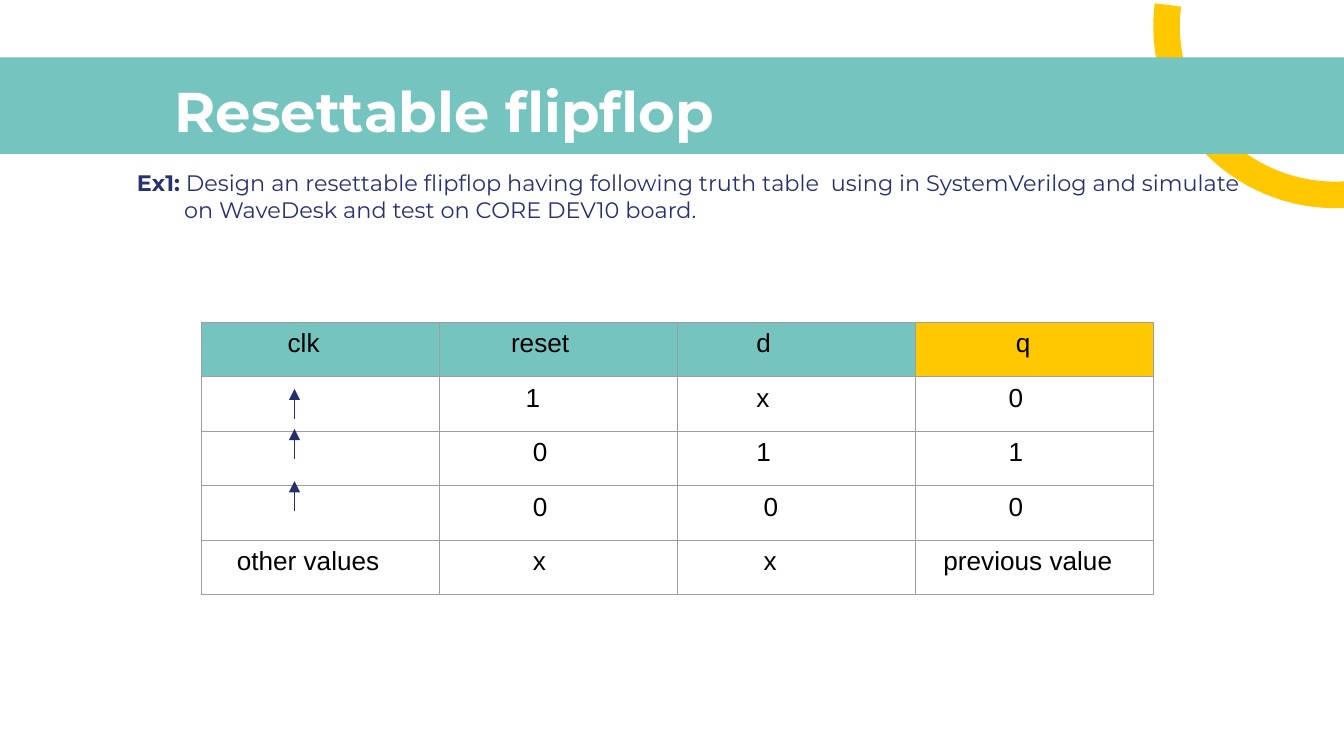
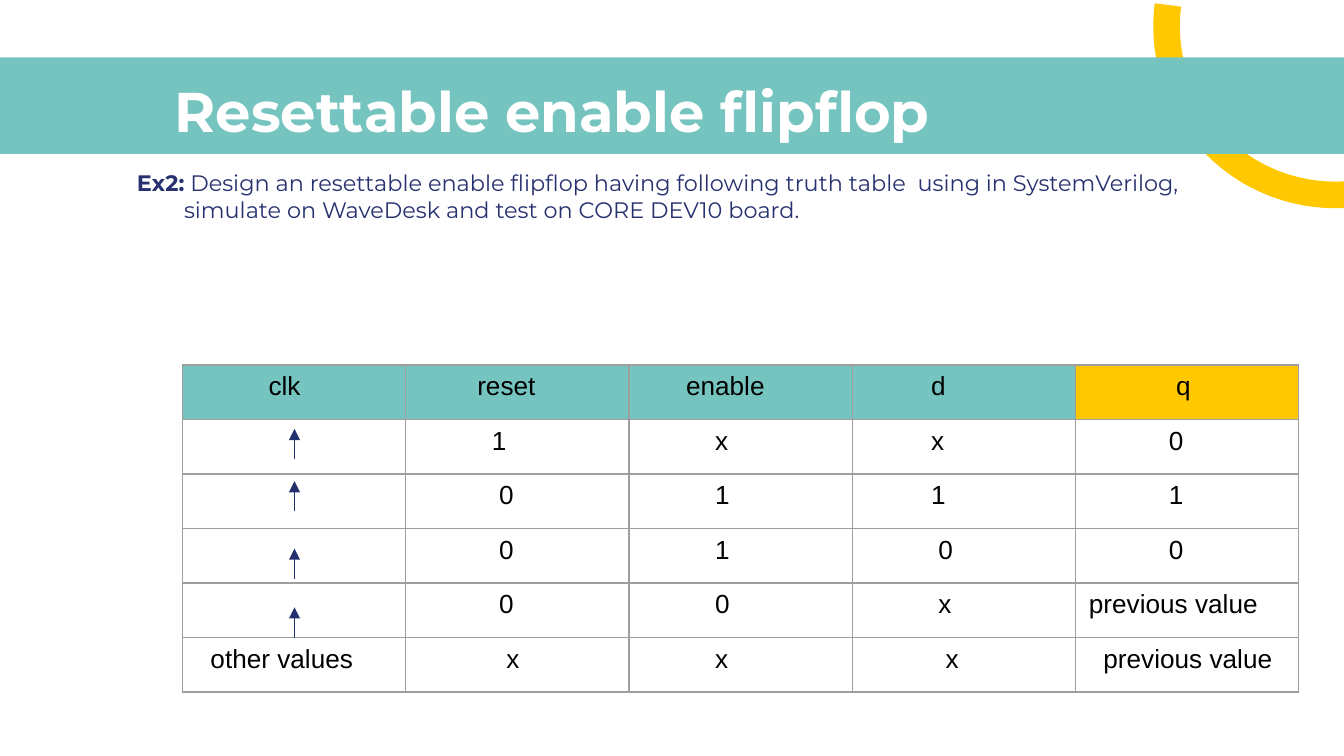
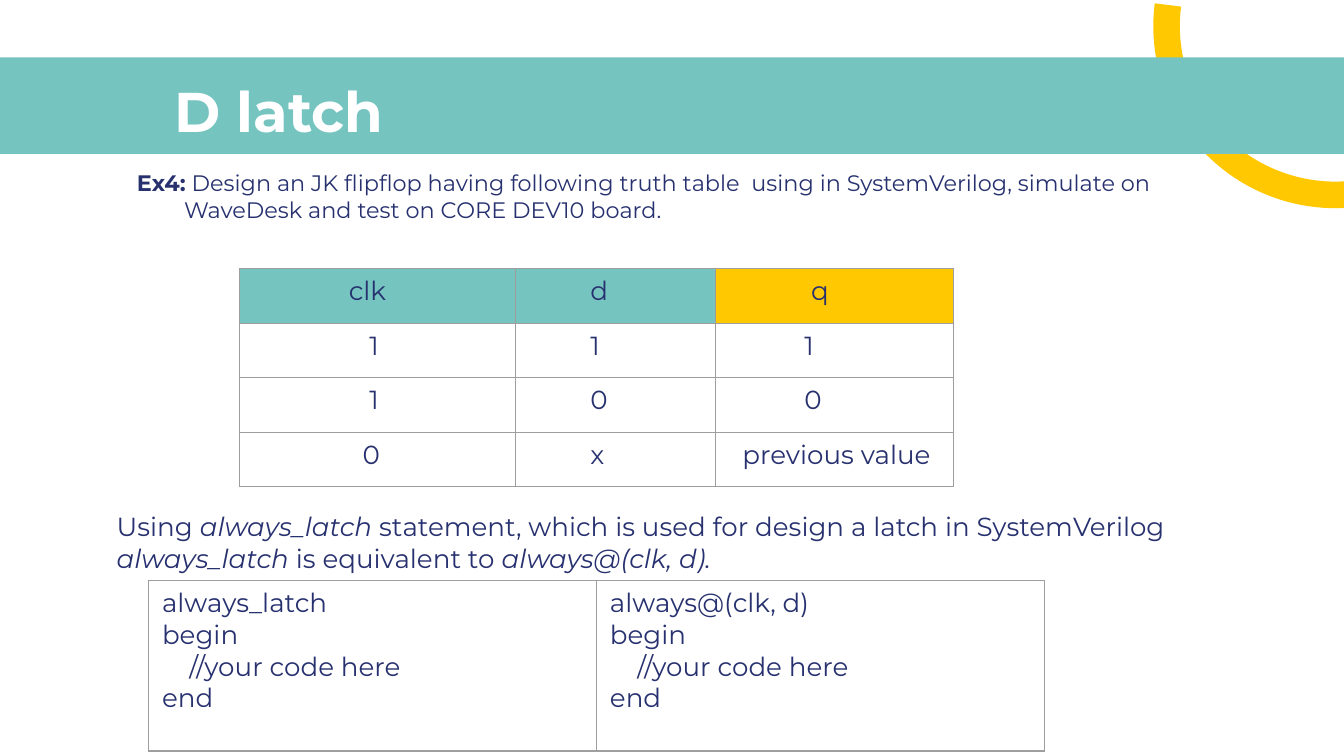
from lxml.etree import SubElement
from pptx import Presentation
from pptx.dml.color import RGBColor
from pptx.enum.shapes import MSO_CONNECTOR, MSO_SHAPE
from pptx.enum.text import MSO_ANCHOR, MSO_AUTO_SIZE, PP_ALIGN
from pptx.oxml.ns import qn
from pptx.util import Pt

TEAL, YELLOW, GREY, WHITE = "75C4C0", "FFC800", "EEEEEE", "FFFFFF"
NAVY, ARROW, BORDER, BLACK = "27316F", "242F6E", "9E9E9E", "000000"
ROW_HEIGHT = 29.2
INSET = 7.2
color = RGBColor.from_string


def add_run(paragraph, text, size, hex_color, font="Montserrat", bold=False, italic=False):
    run = paragraph.add_run()
    run.text = text
    run.font.size, run.font.name = Pt(size), font
    run.font.bold, run.font.italic = bold, italic
    run.font.color.rgb = color(hex_color)


def add_table(slide, left, top, widths, row_height, rows, font, text_color, step, header=True):
    frame = slide.shapes.add_table(len(rows), len(widths), Pt(left), Pt(top),
                                   Pt(sum(widths)), Pt(row_height * len(rows)))
    table = frame.table
    table.first_row = table.horz_banding = False
    for column, width in zip(table.columns, widths):
        column.width = Pt(width)
    for row_index, row in enumerate(rows):
        table.rows[row_index].height = Pt(row_height)
        for column_index, (text, indent) in enumerate(row):
            cell = table.cell(row_index, column_index)
            cell.margin_left = Pt(round(INSET + indent * step, 2))
            properties = cell._tc.get_or_add_tcPr()
            for side in ("a:lnL", "a:lnR", "a:lnT", "a:lnB"):
                line = SubElement(properties, qn(side), w=str(Pt(0.75)))
                SubElement(SubElement(line, qn("a:solidFill")), qn("a:srgbClr"), val=BORDER)
            if header and row_index == 0:
                cell.fill.solid()
                is_output = column_index == len(widths) - 1
                cell.fill.fore_color.rgb = color(YELLOW if is_output else TEAL)
            else:
                cell.fill.background()
            for line_index, line_text in enumerate(text.splitlines()):
                text_frame = cell.text_frame
                paragraph = text_frame.add_paragraph() if line_index else text_frame.paragraphs[0]
                add_run(paragraph, line_text, 14, text_color, font)


presentation = Presentation()
presentation.slide_width, presentation.slide_height = Pt(720), Pt(405)
layout = presentation.slide_layouts[1]
for placeholder in list(layout.placeholders)[2:]:
    layout.shapes.element.remove(placeholder.element)

exercises = [
    {
        "title": "Resettable flipflop",
        "label": "Ex1:",
        "task": " Design an resettable flipflop having following truth table  using in SystemVerilog "
                "and simulate on WaveDesk and test on CORE DEV10 board.",
        "task_width": 632,
        "table": (108, 172.6, [127.5] * 4),
        "style": ("Arial", BLACK, 3.89),
        "rows": [
            [("clk", 10), ("reset", 8), ("d", 9), ("q", 12)],
            [("", 0), ("1", 10), ("x", 9), ("0", 11)],
            [("", 0), ("0", 11), ("1", 9), ("1", 11)],
            [("", 0), ("0", 11), ("0", 10), ("0", 11)],
            [("other values", 3), ("x", 11), ("x", 10), ("previous value", 2)],
        ],
        "arrow_tops": [257.8, 229.8, 208.3],
    },
    {
        "title": "Resettable enable flipflop",
        "label": "Ex2:",
        "task": " Design an resettable enable flipflop having following truth table  using in "
                "SystemVerilog, simulate on WaveDesk and test on CORE DEV10 board.",
        "task_width": 609,
        "table": (97.8, 195.6, [119.6] * 5),
        "style": ("Arial", BLACK, 3.89),
        "rows": [
            [("clk", 10), ("reset", 8), ("enable", 6), ("d", 9), ("q", 12)],
            [("", 0), ("1", 10), ("x", 10), ("x", 9), ("0", 11)],
            [("", 0), ("0", 11), ("1", 10), ("1", 9), ("1", 11)],
            [("", 0), ("0", 11), ("1", 10), ("0", 10), ("0", 11)],
            [("", 0), ("0", 11), ("0", 10), ("x", 10), ("previous value", 0)],
            [("other values", 2), ("x", 12), ("x", 10), ("x", 11), ("previous value", 2)],
        ],
        "arrow_tops": [257.8, 229.8, 293.9, 325.4],
    },
    {
        "title": "D latch",
        "label": "Ex4:",
        "task": " Design an JK flipflop having following truth table  using in SystemVerilog, "
                "simulate on WaveDesk and test on CORE DEV10 board.",
        "task_width": 609,
        "table": (128.2, 144, [147.8, 107.2, 127.5]),
        "style": ("Montserrat", NAVY, 3.68),
        "rows": [
            [("clk", 14), ("d", 9), ("q", 12)],
            [("1", 17), ("1", 9), ("1", 11)],
            [("1", 17), ("0", 9), ("0", 11)],
            [("0", 16), ("x", 9), ("previous value", 2)],
        ],
        "arrow_tops": [],
    },
]
slides = [presentation.slides.add_slide(layout) for _ in exercises]

decorations = []
for kind, left, top, width, height, fill, rotation, adjustments in [
    (MSO_SHAPE.BLOCK_ARC, 617.8, -83.5, 195, 195, YELLOW, 180, (159.04 * 0.6, 7.22 * 0.6, 0.073)),
    (MSO_SHAPE.RECTANGLE, -12, 30.7, 744, 51.8, TEAL, 0, ()),
    (MSO_SHAPE.BLOCK_ARC, -117.4, 324.7, 188, 188, GREY, 74.3, (125.82 * 0.6, 166.85 * 0.6, 0.103)),
]:
    shape = slides[0].shapes.add_shape(kind, Pt(left), Pt(top), Pt(width), Pt(height))
    shape.shadow.inherit = False
    shape.fill.solid()
    shape.fill.fore_color.rgb = color(fill)
    shape.line.fill.background()
    shape.rotation = rotation
    for index, value in enumerate(adjustments):
        shape.adjustments[index] = value
    decorations.append(shape)
for position, shape in enumerate(decorations, start=2):
    layout.shapes.element.insert(position, shape.element)

for slide, exercise in zip(slides, exercises):
    title, body = slide.placeholders
    for placeholder, left, top, width, height in [
        (title, 86.4, 33.8, 609, 45.4),
        (body, 55.4, 83.5, exercise["task_width"], 39.6),
    ]:
        placeholder.left, placeholder.top = Pt(left), Pt(top)
        placeholder.width, placeholder.height = Pt(width), Pt(height)
        text_frame = placeholder.text_frame
        text_frame.margin_left = text_frame.margin_right = Pt(INSET)
        text_frame.margin_top = text_frame.margin_bottom = Pt(INSET)
        text_frame.vertical_anchor = MSO_ANCHOR.TOP
        text_frame.auto_size = MSO_AUTO_SIZE.NONE
        text_frame.word_wrap = True
        text_frame.paragraphs[0].alignment = PP_ALIGN.LEFT
    add_run(title.text_frame.paragraphs[0], exercise["title"], 30, WHITE, bold=True)

    paragraph = body.text_frame.paragraphs[0]
    properties = paragraph._p.get_or_add_pPr()
    properties.set("marL", str(Pt(36)))
    properties.set("indent", str(Pt(-25.2)))
    SubElement(properties, qn("a:buNone"))
    paragraph.space_before = Pt(0)
    add_run(paragraph, exercise["label"], 12, NAVY, bold=True)
    add_run(paragraph, exercise["task"], 12, NAVY)

    add_table(slide, *exercise["table"], ROW_HEIGHT, exercise["rows"], *exercise["style"])

    for arrow_top in exercise["arrow_tops"]:
        arrow = slide.shapes.add_connector(MSO_CONNECTOR.STRAIGHT, Pt(157.8), Pt(arrow_top + 16.2),
                                           Pt(157.8), Pt(arrow_top))
        arrow.line.color.rgb = color(ARROW)
        arrow.line.width = Pt(0.75)
        SubElement(arrow.line._get_or_add_ln(), qn("a:tailEnd"), type="triangle")
        SubElement(arrow.element.spPr, qn("a:effectLst"))

latch_slide = slides[-1]
note = latch_slide.shapes.add_textbox(Pt(55.4), Pt(270), Pt(579), Pt(41)).text_frame
note.word_wrap = False
note.auto_size = MSO_AUTO_SIZE.SHAPE_TO_FIT_TEXT
note_lines = [
    [("Using ", False), ("always_latch ", True),
     ("statement, which is used for design a latch in SystemVerilog", False)],
    [("always_latch ", True), ("is equivalent to ", False), ("always@(clk, d).", True)],
]
for index, runs in enumerate(note_lines):
    paragraph = note.add_paragraph() if index else note.paragraphs[0]
    for text, italic in runs:
        add_run(paragraph, text, 14, NAVY, italic=italic)

code_body = "begin\n    //your code here\nend"
code_row = [(f"{keyword}\n{code_body}", 0) for keyword in ("always_latch", "always@(clk, d)")]
add_table(latch_slide, 79.6, 311, [240, 240], 91.4, [code_row], "Montserrat", NAVY, 0, header=False)

presentation.save("out.pptx")
